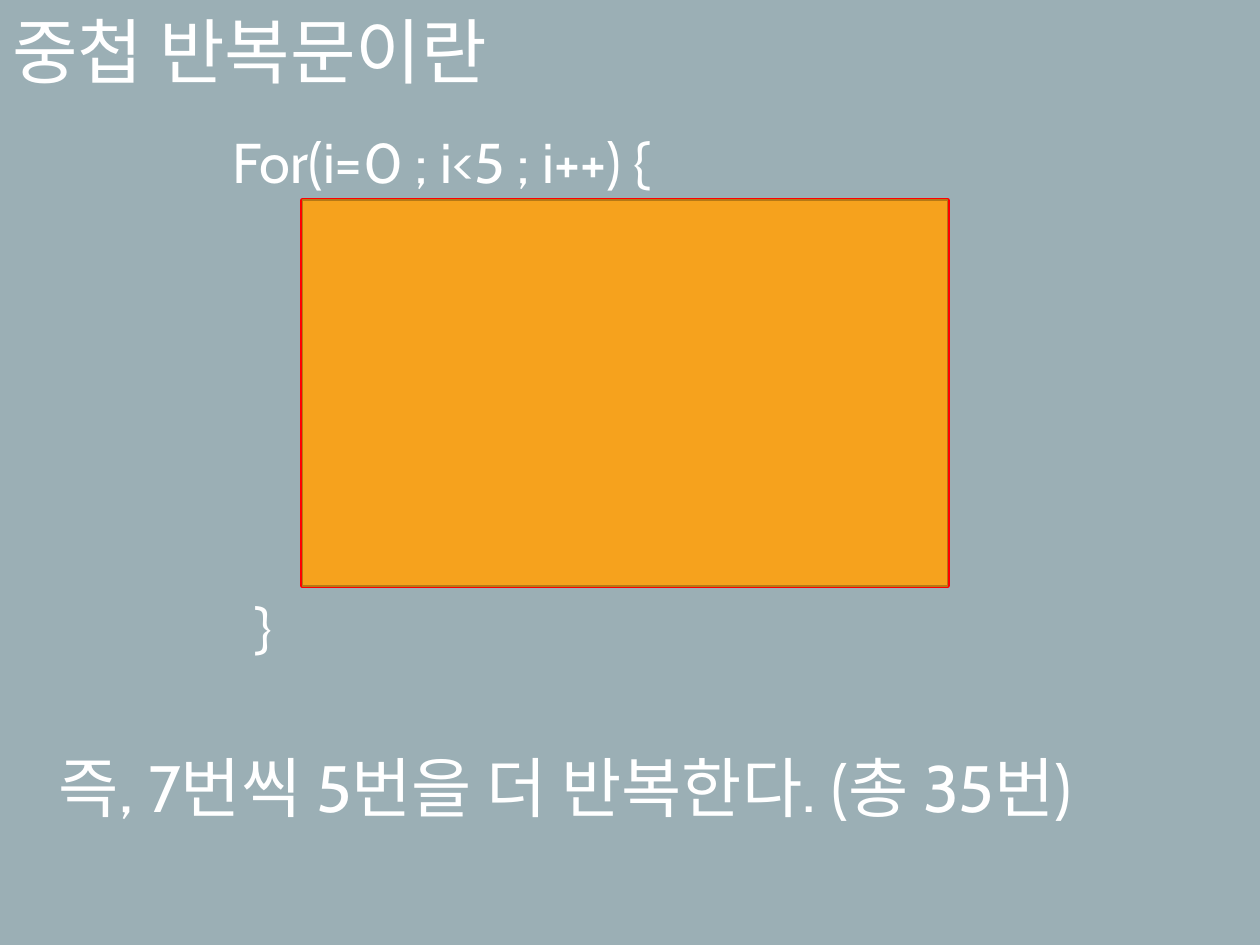
from pptx import Presentation
from pptx.dml.color import RGBColor
from pptx.enum.shapes import MSO_SHAPE
from pptx.util import Pt

FONT = "Cabin"
WHITE = "FFFFFF"


def paint(color, value):
    """Set a colour format from a hex string."""
    color.rgb = RGBColor.from_string(value)


def add_text(slide, box, text, size, lead=None):
    """Place one white paragraph in a box, with optional line spacing."""
    frame = slide.shapes.add_textbox(*map(Pt, box)).text_frame
    frame.word_wrap = True
    para = frame.paragraphs[0]
    para.text = text
    para.font.name = FONT
    para.font.size = Pt(size)
    paint(para.font.color, WHITE)
    if lead:
        para.line_spacing = lead
        para.space_before = Pt(10)


def add_panel(slide, box, line, width, fill=None):
    """Place an outlined rectangle, filled if a colour is given."""
    panel = slide.shapes.add_shape(MSO_SHAPE.RECTANGLE, *map(Pt, box))
    panel.shadow.inherit = False
    if fill:
        panel.fill.solid()
        paint(panel.fill.fore_color, fill)
    else:
        panel.fill.background()
    paint(panel.line.color, line)
    panel.line.width = Pt(width)


def add_loop(slide, box):
    """Place the outer loop: its head, its covered body and its end."""
    left, top, width, height = box
    body = (left + 46.8, top + 45.4, 368.6, 220.3)
    for text, dx, dy in (("For(i=0 ; i<5 ; i++) {", 0, 0),
                         ("}", 13, height - 46)):
        add_text(slide, (left + dx, top + dy, 380, 46), text, 32)
    add_panel(slide, body, "FF0000", 3)
    add_panel(slide, body, "B67815", 1, "F6A21D")


def build():
    """Build and save the slide."""
    deck = Presentation()
    deck.slide_width, deck.slide_height = Pt(720), Pt(540)
    slide = deck.slides.add_slide(deck.slide_layouts[6])
    back = slide.background.fill
    back.solid()
    paint(back.fore_color, "9BAFB5")
    add_text(slide, (0, 10, 604, 47.5), "중첩 반복문이란", 40.7, 0.8)
    add_loop(slide, (126, 69.1, 415.4, 311.7))
    add_text(slide, (26.6, 428.4, 604, 47.5),
             "즉, 7번씩 5번을 더 반복한다. (총 35번)", 37.4, 0.9)
    deck.save("out.pptx")


build()
